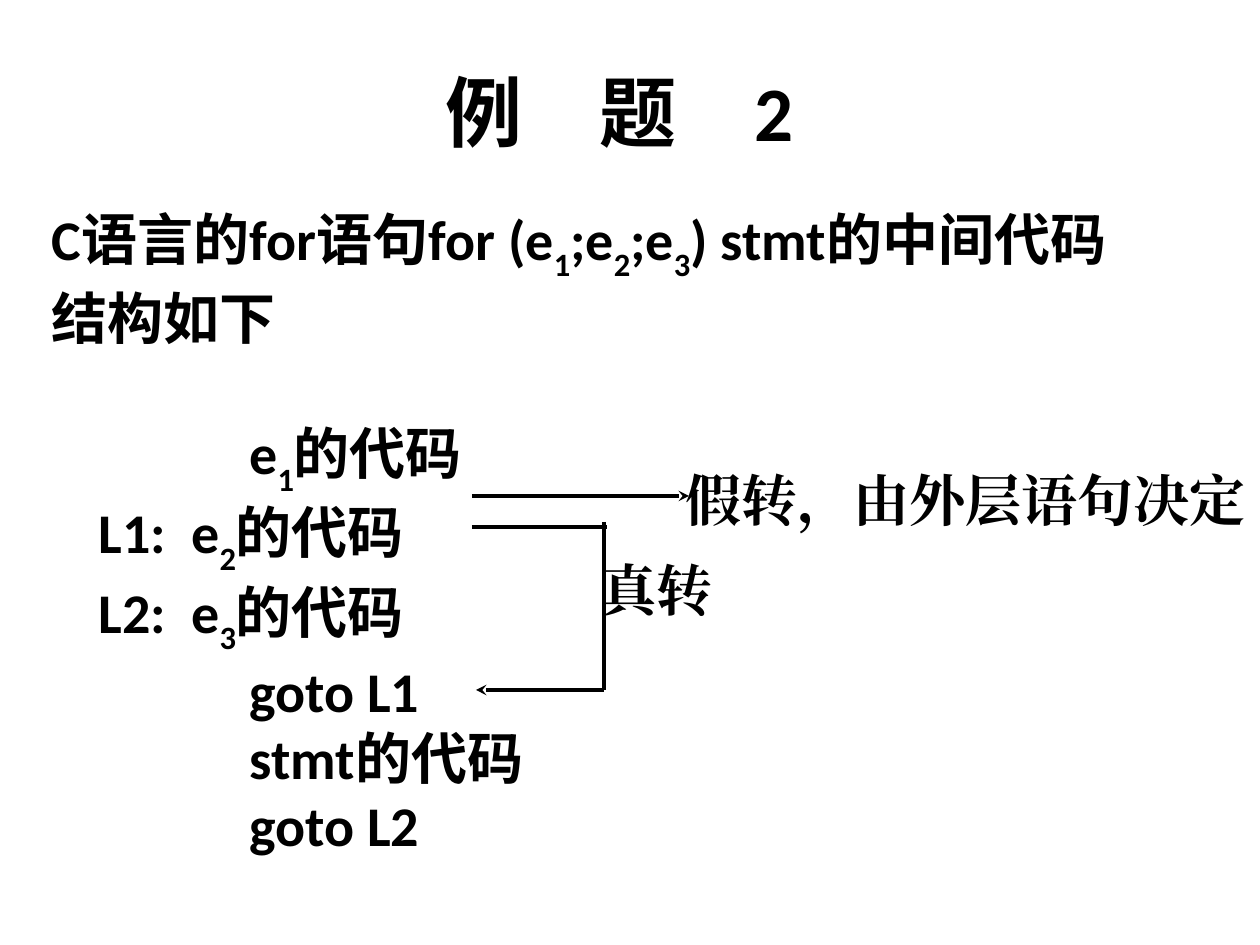
from dataclasses import dataclass

from lxml import etree
from pptx import Presentation
from pptx.dml.color import RGBColor
from pptx.enum.shapes import MSO_CONNECTOR
from pptx.enum.text import MSO_ANCHOR, PP_ALIGN
from pptx.oxml.ns import qn
from pptx.util import Emu, Pt

STRAIGHT = MSO_CONNECTOR.STRAIGHT
TOP, MIDDLE = MSO_ANCHOR.TOP, MSO_ANCHOR.MIDDLE
JUSTIFY, CENTER = PP_ALIGN.JUSTIFY, PP_ALIGN.CENTER
BLACK, WHITE = "000000", "FFFFFF"
BODY_FONT, LABEL_FONT = "Calibri", "Times New Roman"
PIXELS_PER_INCH = 126
SUBSCRIPT = "-30000"


@dataclass
class CodeLine:
    """One line of text; pieces alternate between normal and subscript."""
    pieces: list[str]
    margin: int
    hanging: int = 0
    space_before: int = 0


@dataclass
class Label:
    text: str
    left: int
    top: int
    width: int
    height: int


@dataclass
class Line:
    start: tuple[int, int]
    end: tuple[int, int]
    arrow: bool = False


# Indents of the code listing
LABEL_INDENT, LABELLED_INDENT, CODE_INDENT = 47, 140, 198
HANGING = LABELLED_INDENT - LABEL_INDENT

CODE_LINES = [
    CodeLine(["C语言的for语句for (e", "1", ";e", "2", ";e", "3", ") stmt的中间代码"], 47, 47),
    CodeLine(["结构如下"], 47, 47),
    CodeLine(["e", "1", "的代码"], CODE_INDENT, space_before=68),
    CodeLine(["L1:\te", "2", "的代码"], LABELLED_INDENT, HANGING),
    CodeLine(["L2:\te", "3", "的代码"], LABELLED_INDENT, HANGING),
    CodeLine(["goto L1"], CODE_INDENT),
    CodeLine(["stmt的代码"], CODE_INDENT),
    CodeLine(["goto L2"], CODE_INDENT),
]
LABELS = [
    Label("真转", 588, 543, 190, 87),
    Label("假转，由外层语句决定", 673, 452, 587, 105),
]
TRUE_X, TRUE_Y, TARGET_Y, FALSE_Y = 604, 527, 690, 496
LINES = [
    Line((472, TRUE_Y), (607, TRUE_Y)),
    Line((TRUE_X, 522), (TRUE_X, TARGET_Y)),
    Line((TRUE_X, TARGET_Y), (476, TARGET_Y), arrow=True),
    Line((472, FALSE_Y), (689, FALSE_Y), arrow=True),
]


def px(value: int) -> Emu:
    return Emu(round(value * 914400 / PIXELS_PER_INCH))


def color(value: str) -> RGBColor:
    return RGBColor.from_string(value)


def format_paragraph(paragraph, font_name: str, size: int, alignment) -> None:
    paragraph.alignment = alignment
    font = paragraph.font
    font.name, font.size, font.bold = font_name, Pt(size), True
    font.color.rgb = color(BLACK)
    for run in paragraph.runs:
        run.font.name = font_name
        east_asian = etree.SubElement(run.font._element, qn("a:ea"))
        east_asian.set("typeface", font_name)


def add_text_frame(slide, left: int, top: int, width: int, height: int):
    box = slide.shapes.add_textbox(px(left), px(top), px(width), px(height))
    frame = box.text_frame
    frame.word_wrap = True
    frame.vertical_anchor = TOP
    return frame


def write_code_line(paragraph, line: CodeLine) -> None:
    properties = paragraph._p.get_or_add_pPr()
    properties.set("marL", str(px(line.margin)))
    properties.set("indent", str(-px(line.hanging)))
    if line.space_before:
        paragraph.space_before = px(line.space_before)
    for index, piece in enumerate(line.pieces):
        run = paragraph.add_run()
        run.text = piece
        if index % 2:
            run.font._element.set("baseline", SUBSCRIPT)
    format_paragraph(paragraph, BODY_FONT, 32, JUSTIFY)


def add_label(slide, label: Label) -> None:
    frame = add_text_frame(slide, label.left, label.top, label.width, label.height)
    frame.margin_top, frame.margin_right = px(13), 0
    paragraph = frame.paragraphs[0]
    paragraph.text = label.text
    format_paragraph(paragraph, LABEL_FONT, 32, JUSTIFY)


def add_line(slide, line: Line) -> None:
    connector = slide.shapes.add_connector(
        STRAIGHT, *map(px, line.start), *map(px, line.end))
    connector.line.color.rgb = color(BLACK)
    connector.line.width = Pt(2)
    if line.arrow:
        outline = connector.line._get_or_add_ln()
        etree.SubElement(outline, qn("a:tailEnd")).set("type", "stealth")
    etree.SubElement(connector._element.spPr, qn("a:effectLst"))


def main() -> None:
    presentation = Presentation()
    presentation.slide_width, presentation.slide_height = px(1260), px(945)
    slide = presentation.slides.add_slide(presentation.slide_layouts[5])
    slide.background.fill.solid()
    slide.background.fill.fore_color.rgb = color(WHITE)

    # Title
    title = slide.shapes.title
    title.left, title.top, title.width, title.height = map(px, (84, 32, 1071, 157))
    title.text_frame.text = "例　题　2"
    title.text_frame.vertical_anchor = MIDDLE
    format_paragraph(title.text_frame.paragraphs[0], BODY_FONT, 44, CENTER)

    # Statement and its intermediate code
    frame = add_text_frame(slide, 39, 198, 1181, 694)
    for index, line in enumerate(CODE_LINES):
        paragraph = frame.add_paragraph() if index else frame.paragraphs[0]
        write_code_line(paragraph, line)

    # Jumps and their labels
    for line in LINES:
        add_line(slide, line)
    for label in LABELS:
        add_label(slide, label)

    presentation.save("out.pptx")


if __name__ == "__main__":
    main()
